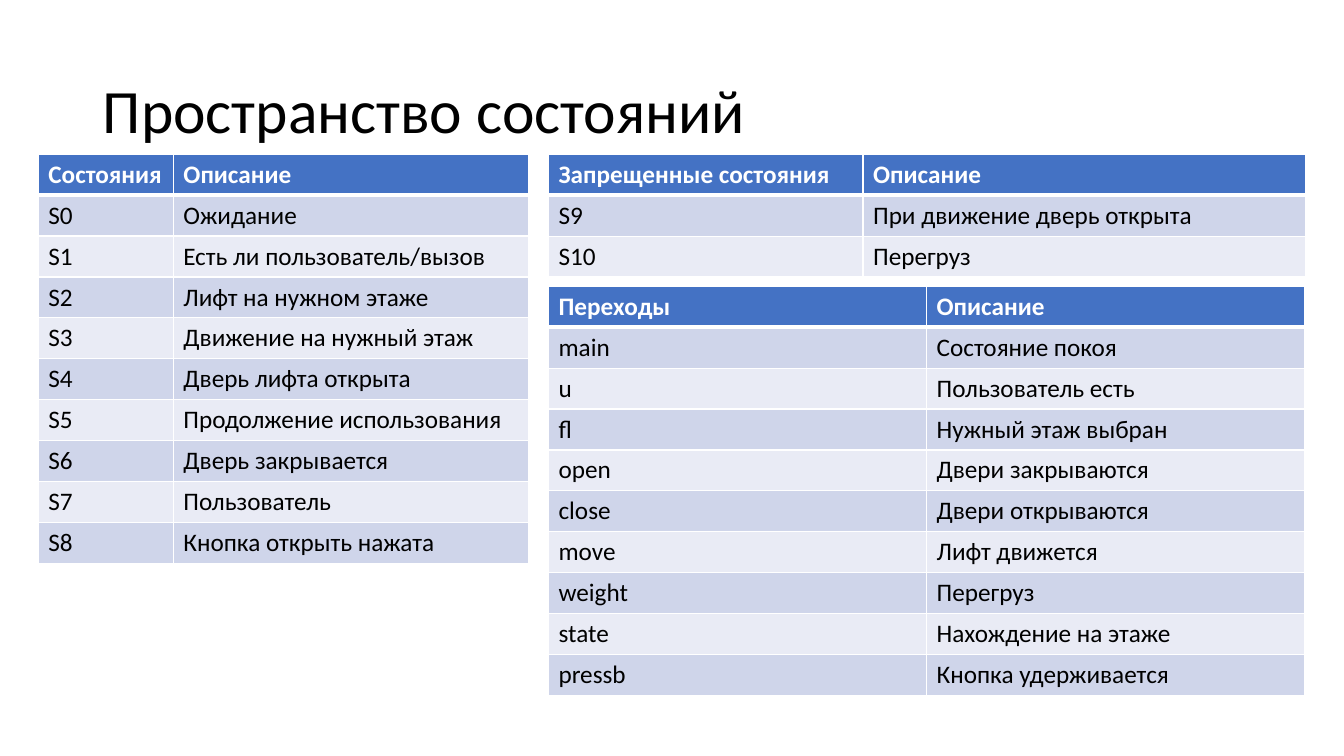
from dataclasses import dataclass

from lxml import etree
from pptx import Presentation
from pptx.dml.color import RGBColor
from pptx.enum import text
from pptx.oxml import ns
from pptx.util import Inches, Pt

FONT = "Calibri"
BLACK, WHITE, HEADER = "000000", "FFFFFF", "4472C4"
BANDS = ("E9EBF5", "CFD5EA")


@dataclass
class StateTable:
    left: float
    top: float
    height: float
    widths: tuple[float, float]
    rows: list[tuple[str, str]]


TABLES = [
    StateTable(0.38, 1.53, 4.06, (1.34, 3.52), [
        ("Состояния", "Описание"),
        ("S0", "Ожидание"),
        ("S1", "Есть ли пользователь/вызов"),
        ("S2", "Лифт на нужном этаже"),
        ("S3", "Движение на нужный этаж"),
        ("S4", "Дверь лифта открыта"),
        ("S5", "Продолжение использования"),
        ("S6", "Дверь закрывается"),
        ("S7", "Пользователь"),
        ("S8", "Кнопка открыть нажата"),
    ]),
    StateTable(5.44, 1.53, 1.22, (3.12, 4.39), [
        ("Запрещенные состояния", "Описание"),
        ("S9", "При движение дверь открыта"),
        ("S10", "Перегруз"),
    ]),
    StateTable(5.44, 2.84, 4.06, (3.75, 3.75), [
        ("Переходы", "Описание"),
        ("main", "Состояние покоя"),
        ("u", "Пользователь есть"),
        ("fl", "Нужный этаж выбран"),
        ("open", "Двери закрываются"),
        ("close", "Двери открываются"),
        ("move", "Лифт движется"),
        ("weight", "Перегруз"),
        ("state", "Нахождение на этаже"),
        ("pressb", "Кнопка удерживается"),
    ]),
]


def rgb(color: str) -> RGBColor:
    return RGBColor.from_string(color)


def add_run(p, words: str, size: float, color: str, bold: bool = False) -> None:
    r = p.add_run()
    r.text = words
    r.font.name = FONT
    r.font.size = Pt(size)
    r.font.bold = bold
    r.font.color.rgb = rgb(color)


def set_borders(cell, row: int) -> None:
    """Draw white cell edges, thicker between the header and the body."""
    tc_pr = cell._tc.get_or_add_tcPr()
    edges = {"L": 1, "R": 1, "T": 3 if row == 1 else 1, "B": 3 if row == 0 else 1}
    for side, width in edges.items():
        ln = etree.SubElement(tc_pr, ns.qn(f"a:ln{side}"), w=str(Pt(width)))
        fill = etree.SubElement(ln, ns.qn("a:solidFill"))
        etree.SubElement(fill, ns.qn("a:srgbClr"), val=WHITE)


def add_state_table(s, spec: StateTable) -> None:
    table = s.shapes.add_table(
        len(spec.rows), len(spec.widths), Inches(spec.left), Inches(spec.top),
        Inches(sum(spec.widths)), Inches(spec.height)).table
    for column, width in zip(table.columns, spec.widths):
        column.width = Inches(width)
    for i, row in enumerate(spec.rows):
        for j, words in enumerate(row):
            cell = table.cell(i, j)
            set_borders(cell, i)
            cell.fill.solid()
            cell.fill.fore_color.rgb = rgb(BANDS[i % 2] if i else HEADER)
            add_run(cell.text_frame.paragraphs[0], words, 18,
                    BLACK if i else WHITE, bold=i == 0)


def add_title(s, words: str) -> None:
    sp = s.shapes.title
    sp.left, sp.top = Inches(0.92), Inches(0.4)
    sp.width, sp.height = Inches(11.5), Inches(1.45)
    tf = sp.text_frame
    tf.vertical_anchor = text.MSO_ANCHOR.MIDDLE
    p = tf.paragraphs[0]
    p.alignment = text.PP_ALIGN.LEFT
    p.line_spacing = 0.9
    add_run(p, words, 44, BLACK)


def main() -> None:
    prs = Presentation()
    prs.slide_width, prs.slide_height = Inches(13.33), Inches(7.5)
    s = prs.slides.add_slide(prs.slide_layouts.get_by_name("Title Only"))
    add_title(s, "Пространство состояний")
    for spec in TABLES:
        add_state_table(s, spec)
    prs.save("out.pptx")


if __name__ == "__main__":
    main()
